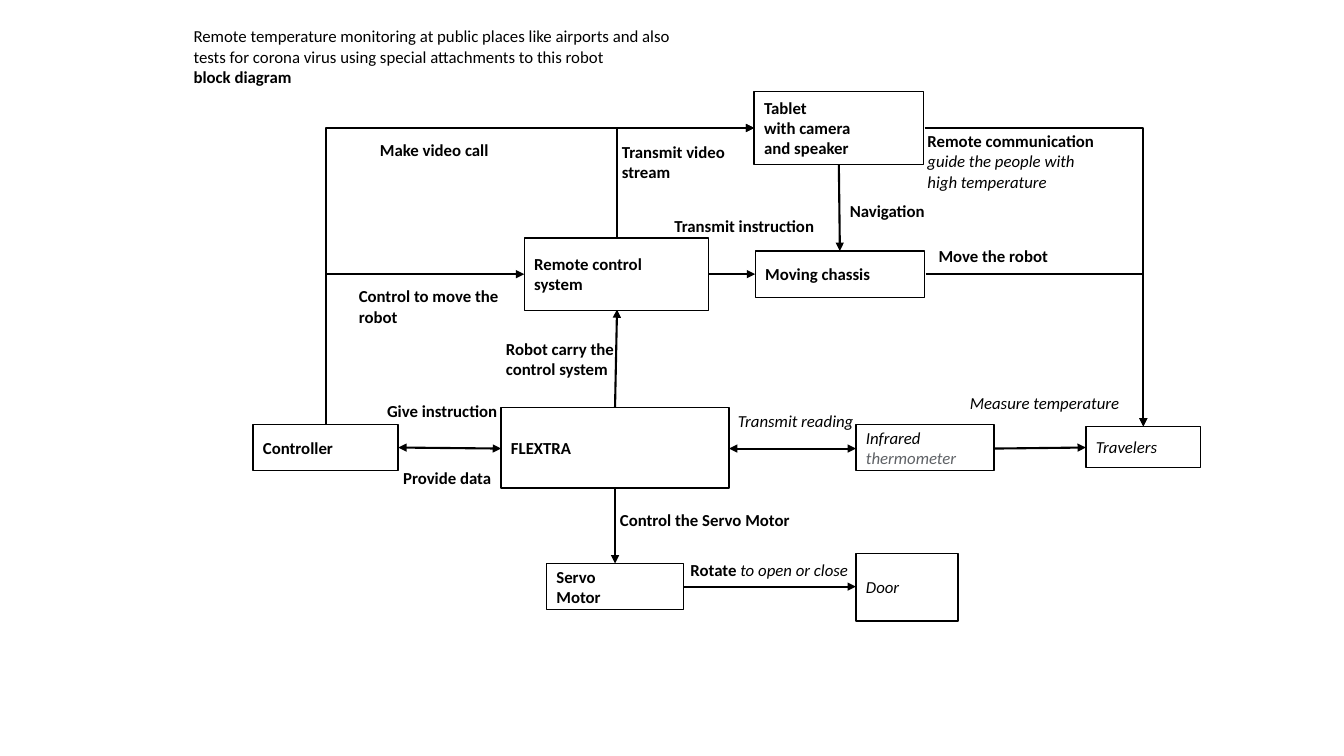
from lxml.etree import SubElement
from pptx import Presentation
from pptx.dml.color import RGBColor
from pptx.enum.shapes import MSO_CONNECTOR, MSO_SHAPE
from pptx.enum.text import MSO_ANCHOR, MSO_AUTO_SIZE, PP_ALIGN
from pptx.oxml.ns import qn
from pptx.util import Pt

SCALE = 9144  # EMU per px, 100 px to the inch
BLACK = RGBColor(0, 0, 0)
WHITE = RGBColor(255, 255, 255)
GRAY = RGBColor(0x5F, 0x62, 0x66)

BASE = {"name": "Calibri", "size": Pt(12), "bold": False, "italic": False}
PLAIN = {}
BOLD = {"bold": True}
SLANT = {"italic": True}

# Blocks: left, top, width, height, then paragraphs of (text, style, colour) runs
BLOCKS = [
    (748, 91, 168, 72, [[("Tablet", BOLD)], [("with camera", BOLD)],
                        [("and speaker", BOLD)]]),
    (520, 236, 183, 72, [[("Remote control", BOLD)], [("system", BOLD)]]),
    (749, 249, 168, 46, [[("Moving chassis", BOLD)]]),
    (251, 421, 144, 46, [[("Controller", BOLD)]]),
    (497, 404, 226, 80, [[("FLEXTRA", BOLD)]]),
    (849, 421, 137, 46, [[("Infrared ", SLANT), ("thermometer", SLANT, GRAY)]]),
    (1077, 423, 114, 41, [[("Travelers", SLANT)]]),
    (542, 559, 136, 46, [[("Servo", BOLD)], [("Motor", BOLD)]]),
    (849, 549, 101, 67, [[("Door", SLANT)]]),
]

LABELS = [
    (910, 125, 248, 71, [[("Remote communication", BOLD)],
                         [("guide the people with", SLANT)],
                         [("high temperature", SLANT)]]),
    (367, 134, 153, 30, [[("Make video call", BOLD)]]),
    (607, 136, 153, 50, [[("Transmit video stream", BOLD)]]),
    (833, 194, 153, 30, [[("Navigation", BOLD)]]),
    (659, 209, 178, 30, [[("Transmit instruction", BOLD)]]),
    (921, 239, 248, 30, [[("Move the robot", BOLD)]]),
    (346, 279, 185, 50, [[("Control to move the robot", BOLD)]]),
    (492, 331, 153, 50, [[("Robot carry the control system", BOLD)]]),
    (374, 393, 139, 30, [[("Give instruction", BOLD)]]),
    (390, 459, 125, 30, [[("Provide data", BOLD)]]),
    (722, 403, 146, 30, [[("Transmit reading", SLANT)]]),
    (952, 385, 184, 30, [[("Measure temperature", SLANT)]]),
    (605, 501, 193, 30, [[("Control the Servo Motor", BOLD)]]),
    (675, 550, 193, 30, [[("Rotate ", BOLD), ("to open or close", SLANT)]]),
]

HEADING = [
    [("Remote temperature monitoring at public places like airports and also", PLAIN)],
    [("tests for corona virus using special attachments to this robot", PLAIN)],
    [("block diagram", BOLD)],
]

# Arrows: start x, start y, end x, end y
ARROWS = [
    (610, 404, 612, 307), (703, 272, 749, 272), (678, 582, 849, 582),
    (832, 163, 833, 249), (610, 485, 610, 559), (986, 445, 1077, 444),
]
DOUBLE = [(395, 444, 497, 445), (723, 445, 849, 445)]
ACROSS = [(917, 127, 1134, 423), (918, 272, 1134, 423)]
UPWARD = [(612, 236, 748, 127), (323, 421, 748, 127), (323, 421, 520, 272)]


def emu(*px):
    return [round(n * SCALE) for n in px]


def write(frame, paras):
    for num, runs in enumerate(paras):
        para = frame.add_paragraph() if num else frame.paragraphs[0]
        para.alignment = PP_ALIGN.LEFT
        for text, style, *tint in runs:
            run = para.add_run()
            run.text = text
            for key, value in {**BASE, **style}.items():
                setattr(run.font, key, value)
            run.font.color.rgb = tint[0] if tint else BLACK


def block(slide, left, top, width, height, paras):
    shape = slide.shapes.add_shape(MSO_SHAPE.RECTANGLE, *emu(left, top, width, height))
    shape.shadow.inherit = False
    shape.fill.solid()
    shape.fill.fore_color.rgb = WHITE
    shape.line.color.rgb = BLACK
    shape.line.width = Pt(1)
    shape.text_frame.vertical_anchor = MSO_ANCHOR.MIDDLE
    write(shape.text_frame, paras)


def label(slide, left, top, width, height, paras):
    frame = slide.shapes.add_textbox(*emu(left, top, width, height)).text_frame
    frame.word_wrap = True
    frame.auto_size = MSO_AUTO_SIZE.SHAPE_TO_FIT_TEXT
    write(frame, paras)


def arrow(slide, ends, kind=MSO_CONNECTOR.STRAIGHT, tips=("tailEnd",)):
    line = slide.shapes.add_connector(kind, *emu(*ends))
    line.line.color.rgb = BLACK
    line.line.width = Pt(1.5)
    for tip in tips:
        SubElement(line.line._get_or_add_ln(), qn("a:" + tip), type="triangle")
    SubElement(line._element.spPr, qn("a:effectLst"))
    return line


def bend(slide, ends, upward=False):
    line = arrow(slide, ends, MSO_CONNECTOR.ELBOW)
    props = line._element.spPr
    props.find(qn("a:prstGeom")).set("prst", "bentConnector2")
    if upward:
        # A quarter turn about the centre makes the vertical leg come first
        x1, y1, x2, y2 = ends
        wide, high = x2 - x1, y1 - y2
        mid_x, mid_y = (x1 + x2) / 2, (y1 + y2) / 2
        box = emu(mid_x - high / 2, mid_y - wide / 2, high, wide)
        line.left, line.top, line.width, line.height = box
        turn = {"rot": "5400000", "flipH": "1", "flipV": "1"}
        for key, value in turn.items():
            props.find(qn("a:xfrm")).set(key, value)


def title(slide):
    head = slide.shapes.title
    head.left, head.top, head.width, head.height = emu(182, 21, 502, 71)
    frame = head.text_frame
    frame.word_wrap = False
    frame.auto_size = MSO_AUTO_SIZE.SHAPE_TO_FIT_TEXT
    frame.vertical_anchor = MSO_ANCHOR.TOP
    write(frame, HEADING)


def main():
    deck = Presentation()
    deck.slide_width, deck.slide_height = emu(1333, 750)
    slide = deck.slides.add_slide(deck.slide_layouts[5])
    title(slide)
    # Links between the blocks
    for ends in ARROWS:
        arrow(slide, ends)
    for ends in DOUBLE:
        arrow(slide, ends, tips=("headEnd", "tailEnd"))
    for ends in ACROSS:
        bend(slide, ends)
    for ends in UPWARD:
        bend(slide, ends, upward=True)
    # Blocks and labels
    for item in BLOCKS:
        block(slide, *item)
    for item in LABELS:
        label(slide, *item)
    deck.save("out.pptx")


if __name__ == "__main__":
    main()
